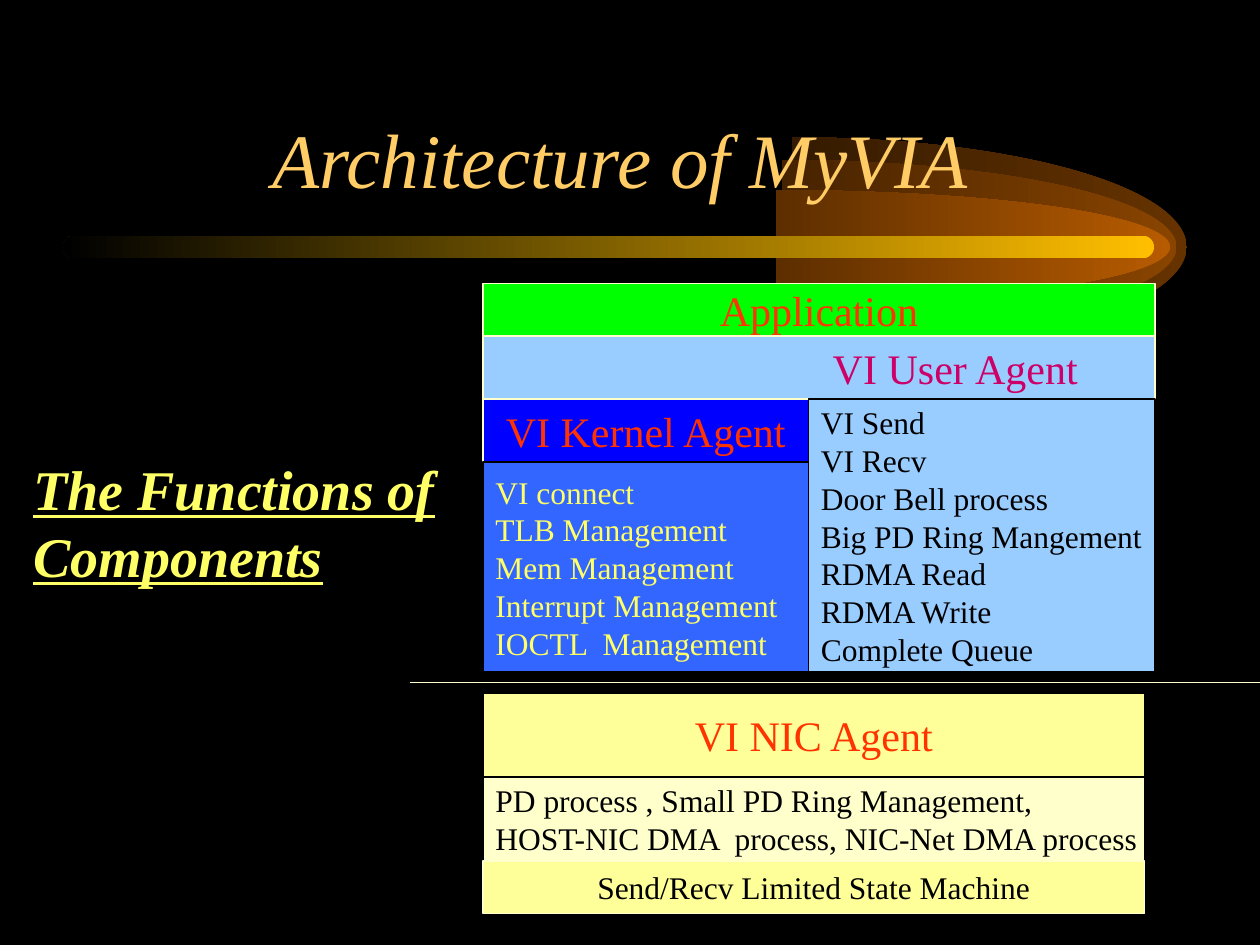
import math

from pptx import Presentation
from pptx import util as u
from pptx.dml.color import RGBColor
from pptx.enum import shapes, text
from pptx.oxml import parse_xml
from pptx.oxml.ns import nsdecls, qn

HUES = {
    "black": "000000", "cream": "FFFFCC", "lemon": "FFFF99", "yellow": "FFFF66",
    "gold": "FFCC66", "green": "00FF00", "sky": "99CCFF", "blue": "0000FF",
    "royal": "3366FF", "red": "FF3300", "pink": "CC0066", "amber": "FFBF00",
    "rust": "663300", "brown": "894400", "orange": "B75B00",
}
ALIGN = text.PP_ALIGN
ANCHOR = text.MSO_ANCHOR


def hue(name):
    return RGBColor.from_string(HUES[name])


def grid(cells):
    return [u.Inches(cell / 12) for cell in cells]


def write(frame, words, size=18, color="black", align=ALIGN.LEFT, anchor=ANCHOR.MIDDLE,
          bold=False, italic=False, under=False, wrap=False, pad=(0.1, 0.05, 0.1, 0.05)):
    frame.word_wrap = wrap
    frame.auto_size = text.MSO_AUTO_SIZE.NONE
    frame.vertical_anchor = anchor
    (frame.margin_left, frame.margin_top,
     frame.margin_right, frame.margin_bottom) = map(u.Inches, pad)
    for i, line in enumerate(words.split("\n")):
        para = frame.add_paragraph() if i else frame.paragraphs[0]
        para.alignment = align
        run = para.add_run()
        run.text = line
        font = run.font
        font.name, font.size = "Times New Roman", u.Pt(size)
        font.bold, font.italic, font.underline = bold, italic, under
        font.color.rgb = hue(color)


def curve(wide, high):
    def spot(turn, pull=0):
        x = math.cos(turn) - pull * math.sin(turn)
        y = math.sin(turn) + pull * math.cos(turn)
        return f'<a:pt x="{round(wide * (1 + x))}" y="{round(high * (1 + y))}"/>'

    step = math.pi / 3
    pull = 4 / 3 * math.tan(step / 4)
    turns = [-math.pi / 2 + i * step for i in range(4)]
    arcs = "".join(f"<a:cubicBezTo>{spot(a, pull)}{spot(b, -pull)}{spot(b)}</a:cubicBezTo>"
                   for a, b in zip(turns, turns[1:]))
    start = f"<a:moveTo>{spot(turns[0])}</a:moveTo>"
    mid = f'<a:lnTo><a:pt x="{wide}" y="{high}"/></a:lnTo><a:close/>'
    size = f'w="{2 * wide}" h="{2 * high}"'
    return parse_xml(f"<a:pathLst {nsdecls('a')}><a:path {size}>{start}{arcs}{mid}</a:path>"
                     f'<a:path {size} fill="none">{start}{arcs}</a:path></a:pathLst>')


class Deck:
    def __init__(self):
        self.prs = Presentation()
        self.prs.slide_width, self.prs.slide_height = u.Inches(10), u.Inches(7.5)
        self.slide = self.prs.slides.add_slide(self.prs.slide_layouts[5])
        self.slide.background.fill.solid()
        self.slide.background.fill.fore_color.rgb = hue("black")
        self.items = self.slide.shapes

    def fade(self, shape, color):
        shape.shadow.inherit = False
        shape.line.fill.background()
        shape.fill.gradient()
        shape.fill.gradient_angle = 180
        for i, name in enumerate((color, "black")):
            stop = shape.fill.gradient_stops[i]
            stop.color.rgb = hue(name)
            stop.position = i

    def glow(self, x, y, wide, high, color):
        left, top, right, base = map(u.Inches, (x - wide, y - high, x + wide, y + high))
        form = self.items.build_freeform(left, top)
        form.add_line_segments([(right, top), (right, base), (left, base)])
        shape = form.convert_to_shape()
        old = next(shape.element.iter(qn("a:pathLst")))
        old.getparent().replace(old, curve(u.Inches(wide), u.Inches(high)))
        self.fade(shape, color)

    def bar(self, *place):
        shape = self.items.add_shape(shapes.MSO_SHAPE.ROUNDED_RECTANGLE, *map(u.Inches, place))
        shape.adjustments[0] = 0.5
        self.fade(shape, "amber")

    def title(self, words, *place, **style):
        shape = self.items.title
        self.items.element.append(shape.element)
        shape.left, shape.top, shape.width, shape.height = grid(place)
        write(shape.text_frame, words, **style)

    def block(self, words, place, fill, edge, **style):
        shape = self.items.add_shape(shapes.MSO_SHAPE.RECTANGLE, *grid(place))
        shape.shadow.inherit = False
        shape.fill.solid()
        shape.fill.fore_color.rgb = hue(fill)
        shape.line.color.rgb = hue(edge)
        shape.line.width = u.Pt(1)
        write(shape.text_frame, words, **style)

    def rule(self, *ends):
        line = self.items.add_connector(shapes.MSO_CONNECTOR.STRAIGHT, *grid(ends))
        line.line.color.rgb = hue("cream")
        line.line.width = u.Pt(1)
        line.element.spPr.append(parse_xml(f"<a:effectLst {nsdecls('a')}/>"))

    def label(self, words, *place, **style):
        box = self.items.add_textbox(*grid(place))
        write(box.text_frame, words, **style)


def main():
    deck = Deck()
    for x, high, color in ((6.29, 0.87, "rust"), (6.21, 0.69, "brown"), (6.16, 0.45, "orange")):
        deck.glow(x, 1.96, 3.13, high, color)
    deck.bar(0.5, 1.87, 8.66, 0.18)
    deck.title("Architecture of MyVIA", 9, 5, 102, 15, size=44, color="gold",
               italic=True, wrap=True, align=ALIGN.CENTER, anchor=ANCHOR.BOTTOM,
               pad=(0.1, 0.05, 0.25, 0.05))

    left, split, full, base = 46, 31, 64, 63
    head = {"size": 24, "color": "red", "align": ALIGN.CENTER}
    deck.block("Application", (left, 27, full, 5), "green", "cream", **head)
    deck.block("VI User Agent", (left, 32, full, 6), "sky", "cream",
               **{**head, "color": "pink", "pad": (2.26, 0.05, 0.1, 0.05)})
    deck.block("VI Kernel Agent", (left, 38, split, 6), "blue", "cream", **head)
    deck.block("VI connect\nTLB Management\nMem Management\n"
               "Interrupt Management\nIOCTL  Management",
               (left, 44, split, 20), "royal", "black", color="yellow")
    deck.block("VI Send\nVI Recv\nDoor Bell process\nBig PD Ring Mangement\n"
               "RDMA Read\nRDMA Write\nComplete Queue",
               (left + split, 38, full - split, 26), "sky", "black")
    deck.block("PD process , Small PD Ring Management,\n"
               "HOST-NIC DMA  process, NIC-Net DMA process",
               (left, 74, base, 8), "cream", "black")
    deck.rule(39, 65, 120, 65)
    deck.block("Send/Recv Limited State Machine", (left, 82, base, 5), "lemon", "cream",
               align=ALIGN.CENTER)
    deck.block("VI NIC Agent", (left, 66, base, 8), "lemon", "black", **head)
    deck.label("The Functions of Components", 2, 43, 42, 20, size=32, color="yellow",
               bold=True, italic=True, under=True, wrap=True, anchor=ANCHOR.BOTTOM,
               pad=(0.1, 0.05, 0.1, 0.58))
    deck.prs.save("out.pptx")


if __name__ == "__main__":
    main()
